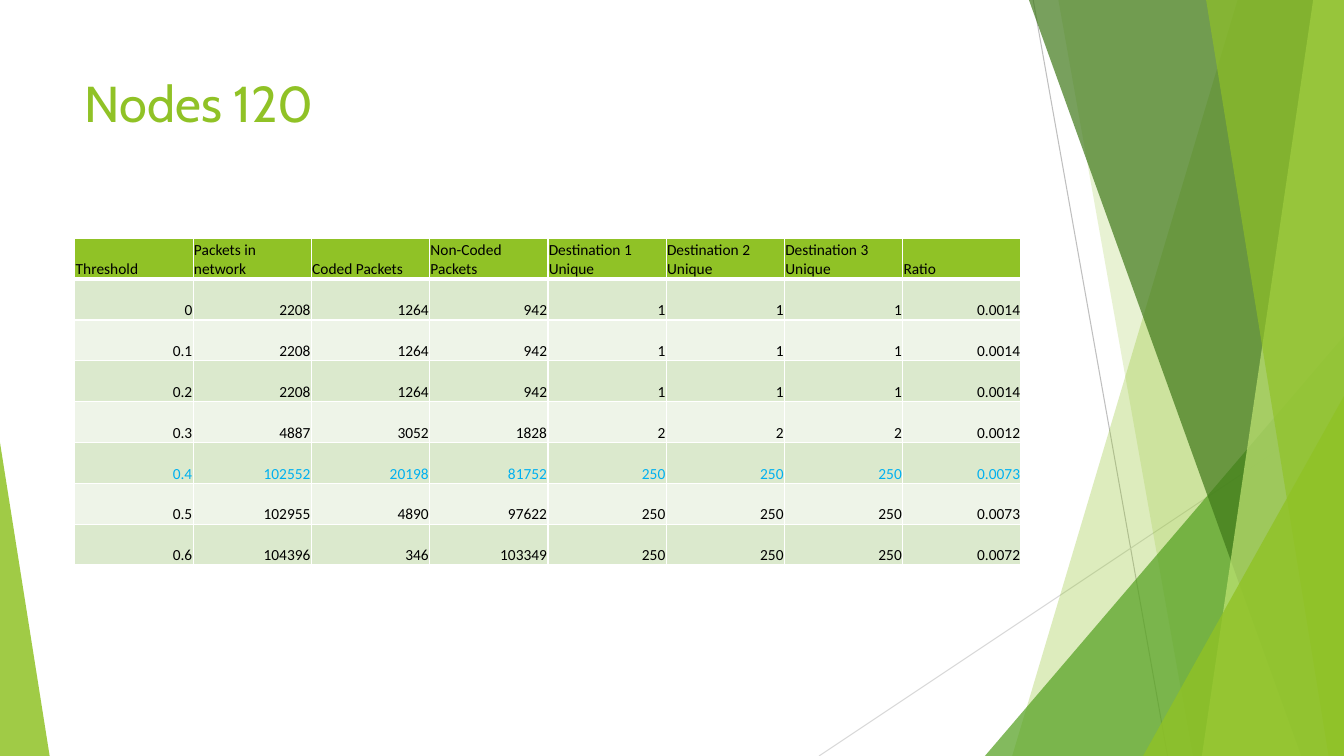
from dataclasses import dataclass

from lxml import etree
from pptx import Presentation
from pptx.dml.color import RGBColor
from pptx.enum.shapes import MSO_CONNECTOR, MSO_SHAPE
from pptx.enum.text import MSO_ANCHOR, PP_ALIGN
from pptx.oxml.ns import qn
from pptx.util import Pt

TRIANGLE = MSO_SHAPE.ISOSCELES_TRIANGLE
STRAIGHT = MSO_CONNECTOR.STRAIGHT
TOP, BOTTOM = MSO_ANCHOR.TOP, MSO_ANCHOR.BOTTOM
LEFT, RIGHT = PP_ALIGN.LEFT, PP_ALIGN.RIGHT


@dataclass(frozen=True)
class Theme:
    lime: str = "90C226"
    green: str = "54A021"
    forest: str = "3F7819"
    pale: str = "C0E474"
    band_dark: str = "DBE9CD"
    band_light: str = "EEF4E8"
    text: str = "000000"
    highlight: str = "00B0F0"
    border: str = "FFFFFF"
    line_dark: str = "BFBFBF"
    line_light: str = "D9D9D9"
    title_font: str = "Cabin"
    body_font: str = "Calibri"
    title_size: float = 36
    body_size: float = 11


THEME = Theme()
W, H = 960, 540

HEADERS = ["Threshold", "Packets in network", "Coded Packets", "Non-Coded Packets",
           "Destination 1 Unique", "Destination 2 Unique", "Destination 3 Unique", "Ratio"]
RESULTS = [
    ["0", "2208", "1264", "942", "1", "1", "1", "0.0014"],
    ["0.1", "2208", "1264", "942", "1", "1", "1", "0.0014"],
    ["0.2", "2208", "1264", "942", "1", "1", "1", "0.0014"],
    ["0.3", "4887", "3052", "1828", "2", "2", "2", "0.0012"],
    ["0.4", "102552", "20198", "81752", "250", "250", "250", "0.0073"],
    ["0.5", "102955", "4890", "97622", "250", "250", "250", "0.0073"],
    ["0.6", "104396", "346", "103349", "250", "250", "250", "0.0072"],
]
BEST_ROW = 5


def rgb(color):
    return RGBColor.from_string(color)


def style_font(font, name, size, color):
    font.name, font.size = name, Pt(size)
    font.color.rgb = rgb(color)


def fill_shape(sp, color, opacity):
    sp.shadow.inherit = False
    sp.fill.solid()
    sp.fill.fore_color.rgb = rgb(color)
    sp.line.fill.background()
    clr = sp.fill._xPr.find(qn("a:solidFill"))[0]
    etree.SubElement(clr, qn("a:alpha")).set("val", str(opacity * 1000))


def add_line(s, x1, y1, x2, y2, color):
    cn = s.shapes.add_connector(STRAIGHT, Pt(x1), Pt(y1), Pt(x2), Pt(y2))
    cn.line.color.rgb = rgb(color)
    cn.line.width = Pt(0.75)
    etree.SubElement(cn._element.spPr, qn("a:effectLst"))


def add_corner(s, x, y, w, h, apex, color, opacity):
    sp = s.shapes.add_shape(TRIANGLE, Pt(x), Pt(y), Pt(w), Pt(h))
    sp.adjustments[0] = apex
    fill_shape(sp, color, opacity)


def add_facet(s, box, top, bottom, color, opacity):
    """Band along the right edge; top and bottom are its widths at each end."""
    x, y, w, h = box
    right, base = x + w, y + h
    fb = s.shapes.build_freeform(Pt(right - top), Pt(y))
    fb.add_line_segments([(Pt(right), Pt(y)), (Pt(right), Pt(base)),
                          (Pt(right - bottom), Pt(base))])
    fill_shape(fb.convert_to_shape(), color, opacity)


def right_facets(s, box):
    x, y, w, h = box
    right, base = x + w, y + h

    # Thin lines behind the facets
    add_line(s, right - 222, y, right - 126, base, THEME.line_dark)
    add_line(s, right, base - 250, x, base, THEME.line_light)

    # Overlapping facets and corners, back to front
    add_facet(s, box, 76, 237, THEME.lime, 30)
    add_facet(s, box, 204, 108, THEME.lime, 20)
    add_corner(s, right - 256.5, base - 300, 256.5, 300, 1, THEME.green, 72)
    add_facet(s, box, 225, 30.5, THEME.forest, 70)
    add_facet(s, box, 22, 101.5, THEME.pale, 70)
    add_facet(s, box, 98.5, 11, THEME.lime, 65)
    add_corner(s, right - 143.5, base - 257, 143.5, 257, 1, THEME.lime, 80)


def left_corner(s, box):
    add_corner(s, *box, 0, THEME.lime, 85)


def title(s, box, text):
    tf = s.shapes.add_textbox(*map(Pt, box)).text_frame
    tf.word_wrap = True
    tf.vertical_anchor = TOP
    tf.text = text
    style_font(tf.paragraphs[0].runs[0].font, THEME.title_font, THEME.title_size, THEME.lime)


def set_borders(cell, top, bottom):
    tcPr = cell._tc.get_or_add_tcPr()
    for i, (side, width) in enumerate([("L", 1), ("R", 1), ("T", top), ("B", bottom)]):
        ln = etree.Element(qn(f"a:ln{side}"), w=str(Pt(width)))
        solid = etree.SubElement(ln, qn("a:solidFill"))
        etree.SubElement(solid, qn("a:srgbClr"), val=THEME.border)
        tcPr.insert(i, ln)


def results_table(s, box):
    x, y, w, h = box
    rows = [HEADERS] + RESULTS
    table = s.shapes.add_table(len(rows), len(HEADERS), *map(Pt, box)).table
    for col in table.columns:
        col.width = Pt(w / len(HEADERS))
    for r, values in enumerate(rows):
        table.rows[r].height = Pt(h / len(rows))
        band = THEME.band_dark if r % 2 else THEME.band_light
        for c, value in enumerate(values):
            cell = table.cell(r, c)
            cell.margin_left = cell.margin_right = cell.margin_top = Pt(0.6)
            cell.margin_bottom = 0
            cell.vertical_anchor = BOTTOM
            cell.fill.solid()
            cell.fill.fore_color.rgb = rgb(THEME.lime if r == 0 else band)
            set_borders(cell, 3 if r == 1 else 1, 3 if r == 0 else 1)
            cell.text = value
            p = cell.text_frame.paragraphs[0]
            p.alignment = LEFT if r == 0 else RIGHT
            font = p.runs[0].font
            font.bold = False
            style_font(font, THEME.body_font, THEME.body_size,
                       THEME.highlight if r == BEST_ROW else THEME.text)


def main():
    prs = Presentation()
    prs.slide_width, prs.slide_height = Pt(W), Pt(H)
    s = prs.slides.add_slide(prs.slide_layouts[6])
    right_facets(s, (585, 0, 375, H))
    left_corner(s, (0, 316, 35.5, 224))
    title(s, (53.5, 48, 677, 104), "Nodes 120")
    results_table(s, (53.5, 170.25, 676, 233.5))
    prs.save("out.pptx")


if __name__ == "__main__":
    main()
